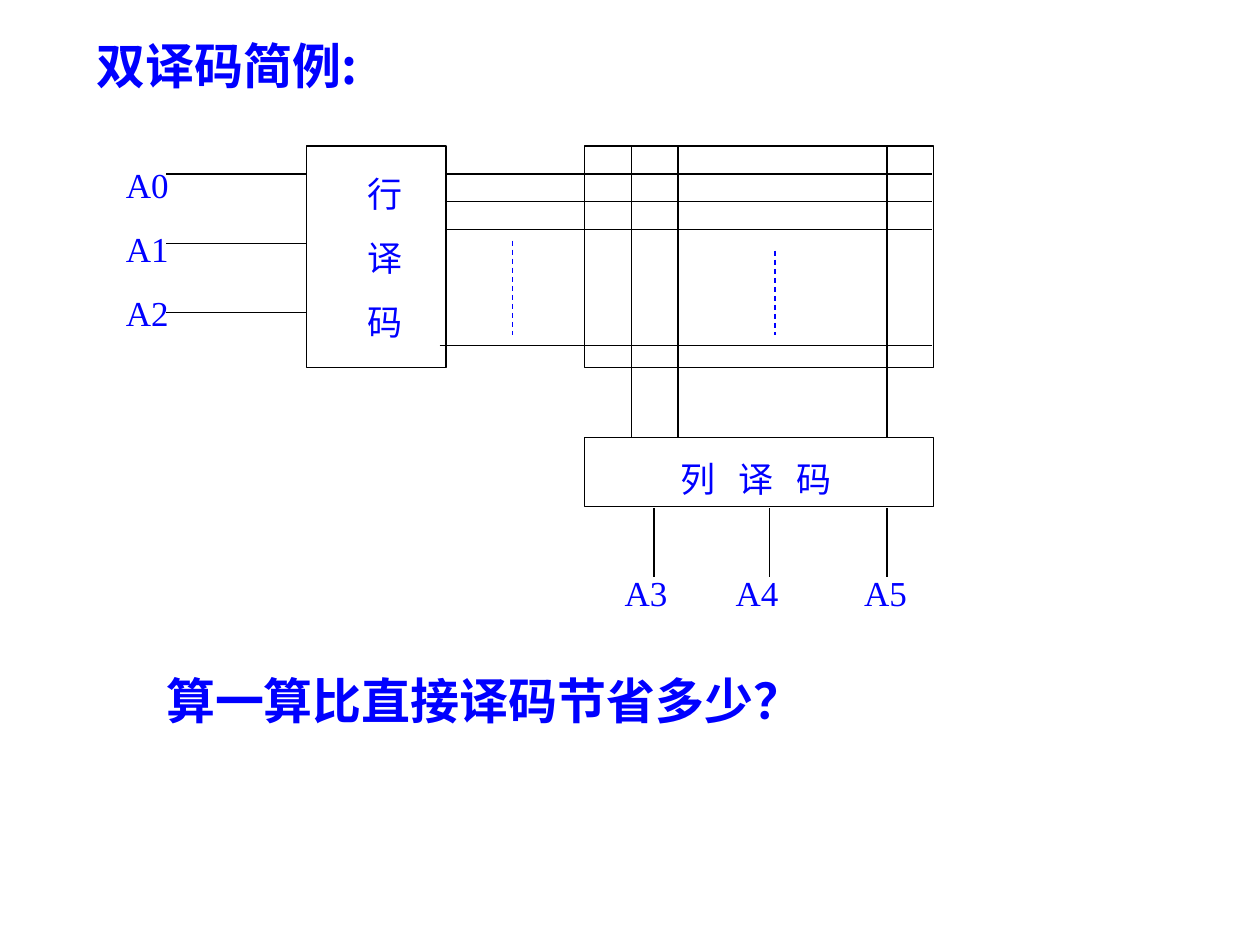
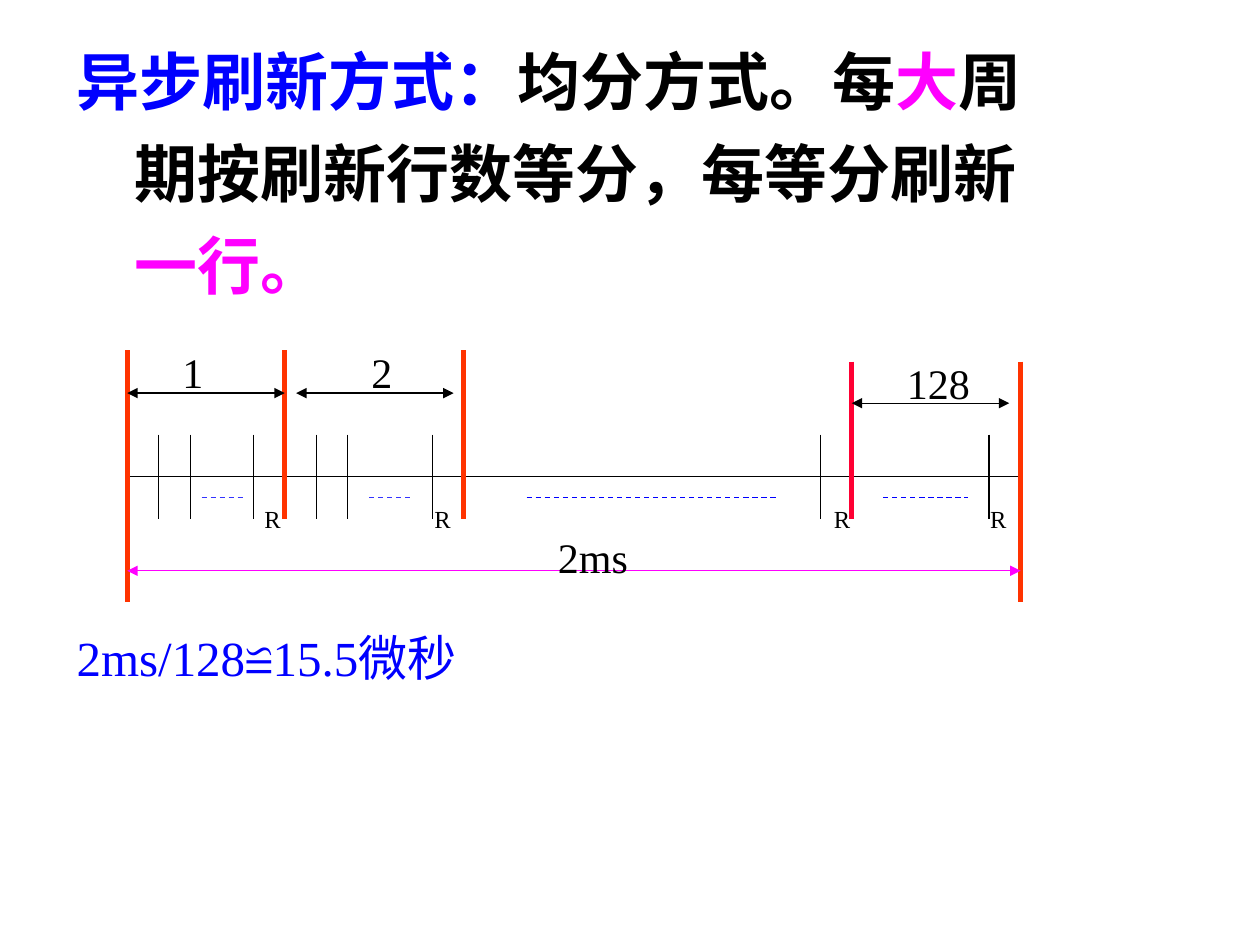
"""Build two slides: a double decoder and the asynchronous refresh timeline."""
from pptx import Presentation
from pptx.dml.color import RGBColor
from pptx.enum.dml import MSO_LINE
from pptx.enum.shapes import MSO_CONNECTOR, MSO_SHAPE
from pptx.oxml.ns import qn
from pptx.util import Inches, Pt
from lxml.etree import SubElement

HUES = {"blue": "0000FF", "soft": "3333FF", "black": "000000",
        "pink": "FF00FF", "red": "FF3300", "rose": "FF0033"}
LATIN, HAN = "Times New Roman", "Noto Sans CJK SC"

HEADS = [("双译码简例:", (0.67, 0.28, 2.52, 0.55)),
         ("算一算比直接译码节省多少？", (1.22, 5.32, 5.75, 0.55))]

TOP = 1.16
ROW = (2.43, TOP, 1.11, 1.76)
GRID = (4.64, TOP, 2.77, 1.76)
COL = (4.64, 3.47, 2.77, 0.55)
ROWS = ["A0", "A1", "A2"]
COLS = [("A3", 4.86), ("A4", 5.74), ("A5", 6.76)]
WORDS = [(3.53, 1.38), (3.53, 1.6), (3.53, 1.82), (3.49, 2.74)]
BITS = [5.01, 5.38, 7.04]
PINS = [5.19, 6.11, 7.04]
GAPS = [(4.07, 1.91), (6.15, 1.99)]

RULE = [[("异步刷新方式：", "blue"), ("均分方式。每", "black"),
         ("大", "pink"), ("周", "black")],
        [("期按刷新行数等分，每等分刷新", "black")],
        [("一行。", "pink")]]
SUM = "2ms/128≌15.5微秒"
LEFT, RIGHT, AXIS = 1.01, 8.1, 3.78
TICKS = [1.26, 1.51, 2.01, 2.51, 2.76, 3.43, 6.51, 7.85]
BARS = [(LEFT, 2.78, 4.78, "red"), (2.26, 2.78, 4.12, "red"),
        (3.68, 2.78, 4.12, "red"), (6.76, 2.87, 4.12, "rose"),
        (RIGHT, 2.87, 4.78, "red")]
SPANS = [(LEFT, 3.12), (2.35, 3.12), (6.76, 3.2)]
STEP = 1.25
DOTS = [(1.6, 1.93, "soft"), (2.93, 3.26, "soft"),
        (4.18, 6.18, "blue"), (7.01, 7.68, "blue")]
MARKS = [("1", 1.35, 2.7), ("2", 2.85, 2.7), ("128", 7.1, 2.79),
         ("2ms", 4.33, 4.17)]
REFRESH = [2, 3.35, 6.52, 7.76]


def tint(name):
    return RGBColor.from_string(HUES[name])


def write(slide, text, box, size=20, hue="blue", font=LATIN, bold=False,
          lead=1.2, gap=0, hang=0, track=0):
    frame = slide.shapes.add_textbox(*map(Inches, box)).text_frame
    frame.word_wrap = True
    paras = [text] if isinstance(text, str) else text
    for i, runs in enumerate(paras):
        para = frame.add_paragraph() if i else frame.paragraphs[0]
        para.line_spacing = Pt(round(size * lead, 1))
        if i:
            para.space_before = Pt(gap)
            if hang:
                para._p.get_or_add_pPr().set("marL", str(Inches(hang)))
        for part, shade in [(runs, hue)] if isinstance(runs, str) else runs:
            run = para.add_run()
            run.text = part
            run.font.size, run.font.bold = Pt(size), bold
            run.font.color.rgb = tint(shade)
            run.font.name = font
            props = run._r.get_or_add_rPr()
            SubElement(props, qn("a:ea")).set("typeface", HAN)
            if track:
                props.set("spc", str(track))


def draw(slide, start, end, hue="black", width=0.75, dash=False, arrow=False):
    link = slide.shapes.add_connector(
        MSO_CONNECTOR.STRAIGHT, *map(Inches, start + end))
    link.line.color.rgb = tint(hue)
    link.line.width = Pt(width)
    if dash:
        link.line.dash_style = MSO_LINE.DASH
    if arrow:
        for tag in ("a:headEnd", "a:tailEnd"):
            SubElement(link.line._ln, qn(tag)).set("type", "triangle")
    SubElement(link._element.spPr, qn("a:effectLst"))


def outline(slide, box):
    shape = slide.shapes.add_shape(MSO_SHAPE.RECTANGLE, *map(Inches, box))
    shape.shadow.inherit = False
    shape.fill.background()
    shape.line.color.rgb = tint("black")
    shape.line.width = Pt(0.75)


def decoder(slide):
    for text, box in HEADS:
        write(slide, text, box, size=28, font=HAN, bold=True, lead=1.08)
    for box in (GRID, ROW, COL):
        outline(slide, box)
    for i in range(len(ROWS)):
        y = 1.38 + 0.55 * i
        draw(slide, (1.32, y), (ROW[0], y))
    for x, y in WORDS:
        draw(slide, (x, y), (7.4, y))
    for x in BITS:
        draw(slide, (x, TOP), (x, COL[1]))
    for x in PINS:
        draw(slide, (x, 4.03), (x, 4.58))
    for x, y in GAPS:
        draw(slide, (x, y), (x, 2.66), hue="blue", dash=True)
    write(slide, ROWS, (0.9, 1.25, 0.92, 1.45), gap=12.5)
    write(slide, list("行译码"), (2.82, 1.32, 0.5, 1.45), gap=12.5)
    write(slide, "列 译 码", (5.3, 3.58, 2, 0.44), track=440)
    for name, x in COLS:
        write(slide, name, (x, 4.49, 0.6, 0.44))


def refresh(slide):
    write(slide, RULE, (0.51, 0.28, 8.92, 2.3), size=36, bold=True,
          lead=1.22, gap=8.5, hang=0.46)
    write(slide, SUM, (0.51, 4.93, 8.92, 0.6), size=28)
    draw(slide, (LEFT, AXIS), (RIGHT, AXIS))
    for x in TICKS:
        draw(slide, (x, 3.45), (x, 4.12))
    for x, y, foot, hue in BARS:
        draw(slide, (x, y), (x, foot), hue=hue, width=3)
    for x, y in SPANS:
        draw(slide, (x, y), (x + STEP, y), arrow=True)
    draw(slide, (LEFT, 4.53), (RIGHT, 4.53), hue="pink", arrow=True)
    for x, end, hue in DOTS:
        draw(slide, (x, 3.95), (end, 3.95), hue=hue, dash=True)
    for text, x, y in MARKS:
        write(slide, text, (x, y, 0.9, 0.5), size=24, hue="black")
    for x in REFRESH:
        write(slide, "R", (x, 3.95, 0.4, 0.34), size=14, hue="black")


def main():
    deck = Presentation()
    deck.slide_width, deck.slide_height = Inches(10), Inches(7.5)
    for build in (decoder, refresh):
        build(deck.slides.add_slide(deck.slide_layouts[6]))
    deck.save("out.pptx")


if __name__ == "__main__":
    main()
